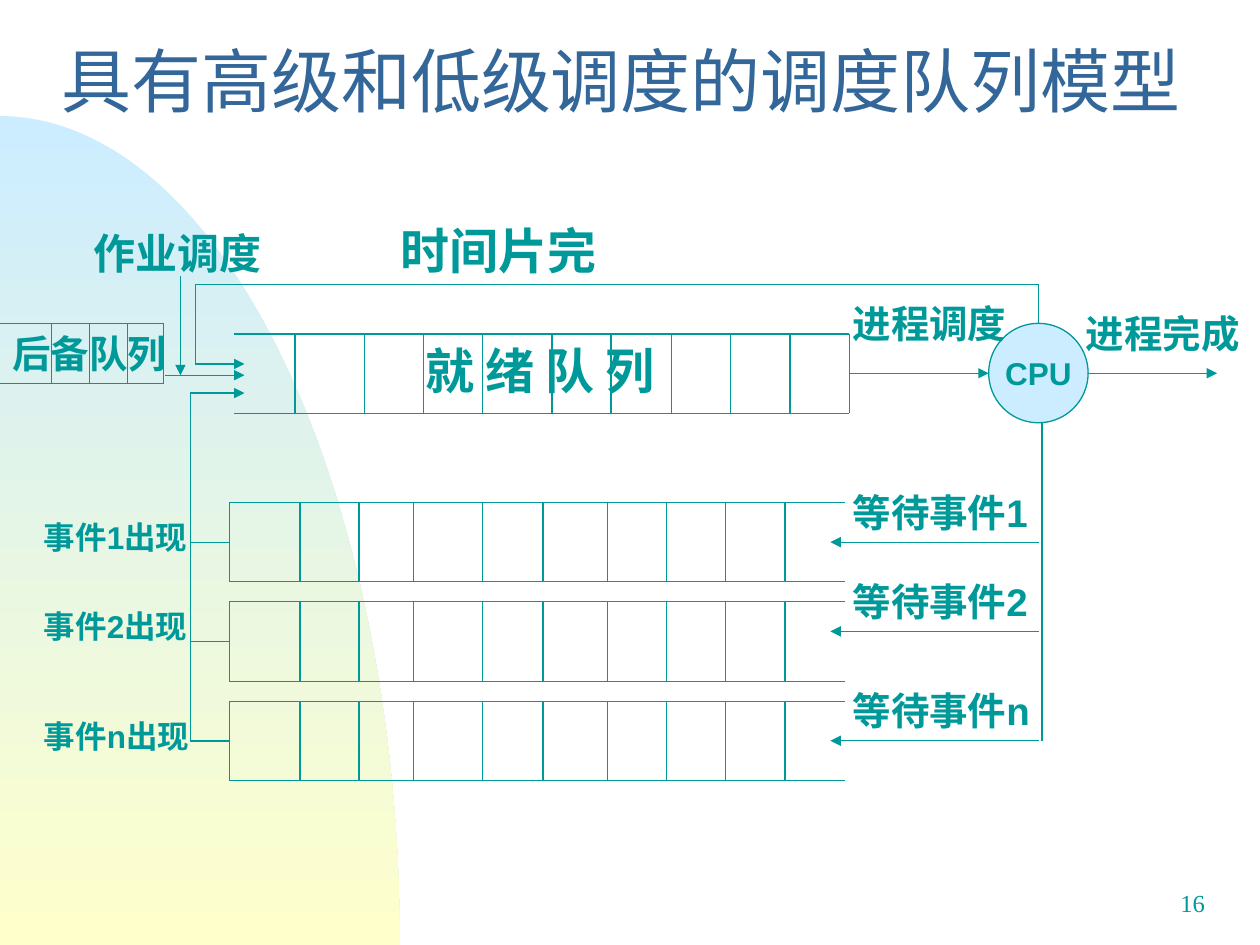
from math import cos, pi, sin

from lxml.etree import SubElement
from pptx import Presentation
from pptx.dml.color import RGBColor
from pptx.enum.shapes import MSO_CONNECTOR, MSO_SHAPE
from pptx.enum.text import MSO_ANCHOR, PP_ALIGN
from pptx.oxml.ns import qn
from pptx.util import Pt

TEAL, BLUE, SKY, CREAM = "009999", "336699", "CCECFF", "FFFFCC"
LABEL = {"name": "Arial", "bold": True}
READY_CELLS = [168.5, 208.1, 241.9, 275.8, 315.4, 349.2, 383.8, 417.6, 451.4, 485.3]
WAIT_CELLS = [131, 171.4, 205.2, 236.2, 275.8, 310.3, 347, 380.9, 414.7, 448.6]
BACKUP_CELLS = [29.5, 51.1, 72.7, 93.6]


def rgb(color):
    """Turn a hex string into a colour."""
    return RGBColor.from_string(color)


def write(sp, text, size, color=TEAL, align=PP_ALIGN.LEFT, spacing=None,
          anchor=MSO_ANCHOR.TOP, wrap=True, font=LABEL):
    """Put one formatted line of text into a shape."""
    tf = sp.text_frame
    for key, value in {"word_wrap": wrap, "vertical_anchor": anchor}.items():
        setattr(tf, key, value)
    p = tf.paragraphs[0]
    p.alignment = align
    if spacing:
        p.line_spacing = spacing
    r = p.add_run()
    r.text = text
    for key, value in {**font, "size": Pt(size)}.items():
        setattr(r.font, key, value)
    r.font.color.rgb = rgb(color)


def add_text(s, x, y, w, h, text, size, **fmt):
    """Add a text box."""
    sp = s.shapes.add_textbox(Pt(x), Pt(y), Pt(w), Pt(h))
    write(sp, text, size, **fmt)


def add_line(s, x1, y1, x2, y2, arrow=False):
    """Add a straight line, with an arrowhead at its end if asked."""
    sp = s.shapes.add_connector(MSO_CONNECTOR.STRAIGHT, Pt(x1), Pt(y1), Pt(x2), Pt(y2))
    sp.line.color.rgb = rgb(TEAL)
    sp.line.width = Pt(0.75)
    if arrow:
        SubElement(sp.line._get_or_add_ln(), qn("a:tailEnd"), type="triangle")
    SubElement(sp._element.spPr, qn("a:effectLst"))


def add_queue(s, left, right, top, height, cells):
    """Draw a queue as two rails with cell dividers."""
    for y in (top, top + height):
        add_line(s, left, y, right, y)
    for x in cells:
        add_line(s, x, top, x, top + height)


def add_backdrop(s):
    """Draw the gradient quarter ellipse in the lower left corner."""
    steps = 120
    arc = [(Pt(228.4 * sin(a)), Pt(540 - 473.6 * cos(a)))
           for a in (pi / 2 * i / steps for i in range(steps + 1))]
    builder = s.shapes.build_freeform(*arc[0])
    builder.add_line_segments(arc[1:] + [(0, Pt(540))], close=True)
    sp = builder.convert_to_shape()
    sp.shadow.inherit = False
    sp.line.fill.background()
    sp.fill.gradient()
    sp.fill.gradient_angle = 270
    for stop, color in zip(sp.fill.gradient_stops, (SKY, CREAM)):
        stop.color.rgb = rgb(color)


def add_cpu(s):
    """Draw the CPU circle."""
    sp = s.shapes.add_shape(MSO_SHAPE.OVAL, Pt(565), Pt(184.8), Pt(56.8), Pt(56.8))
    sp.shadow.inherit = False
    sp.fill.solid()
    sp.fill.fore_color.rgb = rgb(SKY)
    sp.line.color.rgb = rgb(TEAL)
    sp.line.width = Pt(0.75)
    write(sp, "CPU", 18, align=PP_ALIGN.CENTER, anchor=MSO_ANCHOR.MIDDLE, wrap=False)


def add_waiting_queues(s):
    """Draw the three event queues with their arrows and labels."""
    for i, (name, y) in enumerate([("1", 309.8), ("2", 360.8), ("n", 423.3)]):
        top = 287.1 + 56.8 * i
        middle = top + 22.7
        add_queue(s, 131, 483, top, 45.4, WAIT_CELLS)
        add_line(s, 108.7, middle, 131, middle)
        add_line(s, 593.5, y, 474.5, y, arrow=True)
        add_text(s, 480.2, y - 34, 133, 34, f"等待事件{name}", 22)
        add_text(s, 18, y - 17.3, 108, 29, f"事件{name}出现", 18)


def main():
    """Build the slide."""
    prs = Presentation()
    prs.slide_width, prs.slide_height = Pt(720), Pt(540)
    s = prs.slides.add_slide(prs.slide_layouts[6])
    add_backdrop(s)
    add_text(s, 545.8, 504, 149.8, 36, "16", 14, align=PP_ALIGN.RIGHT,
             font={"name": "Times New Roman"})
    add_text(s, 28.1, 12.2, 679.7, 77.8, "具有高级和低级调度的调度队列模型", 40,
             color=BLUE, spacing=0.7, anchor=MSO_ANCHOR.MIDDLE,
             font={"name": "Arial Narrow"})

    add_queue(s, 133.9, 485.3, 190.8, 45.4, READY_CELLS)
    add_queue(s, 0, 93.6, 184.8, 34.2, BACKUP_CELLS)
    add_waiting_queues(s)
    add_cpu(s)

    for ends in [(111.6, 162.4, 593.5, 162.4), (593.5, 184.8, 593.5, 162.4),
                 (111.6, 162.4, 111.6, 208), (108.7, 423.3, 108.7, 224.6),
                 (595.5, 423.3, 595.5, 241.6)]:
        add_line(s, *ends)
    for ends in [(111.6, 208, 139.7, 208), (108.7, 224.6, 139.7, 224.6),
                 (94.3, 214.4, 139.7, 214.4), (103.1, 157.7, 103.1, 214.4),
                 (485.3, 213.3, 565, 213.3), (621.8, 213.3, 695.5, 213.3)]:
        add_line(s, *ends, arrow=True)

    for x, y, w, h, text, size in [
        (236.2, 190.8, 153.4, 41, "就 绪 队 列", 28),
        (221.8, 122.6, 153.4, 41, "时间片完", 28),
        (480.2, 167.8, 113, 34, "进程调度", 22),
        (613.4, 173.6, 113, 34, "进程完成", 22),
        (0, 184.8, 113, 34, "后备队列", 22),
        (46.3, 126.6, 118.8, 36, "作业调度", 24),
    ]:
        add_text(s, x, y, w, h, text, size)
    prs.save("out.pptx")


if __name__ == "__main__":
    main()
